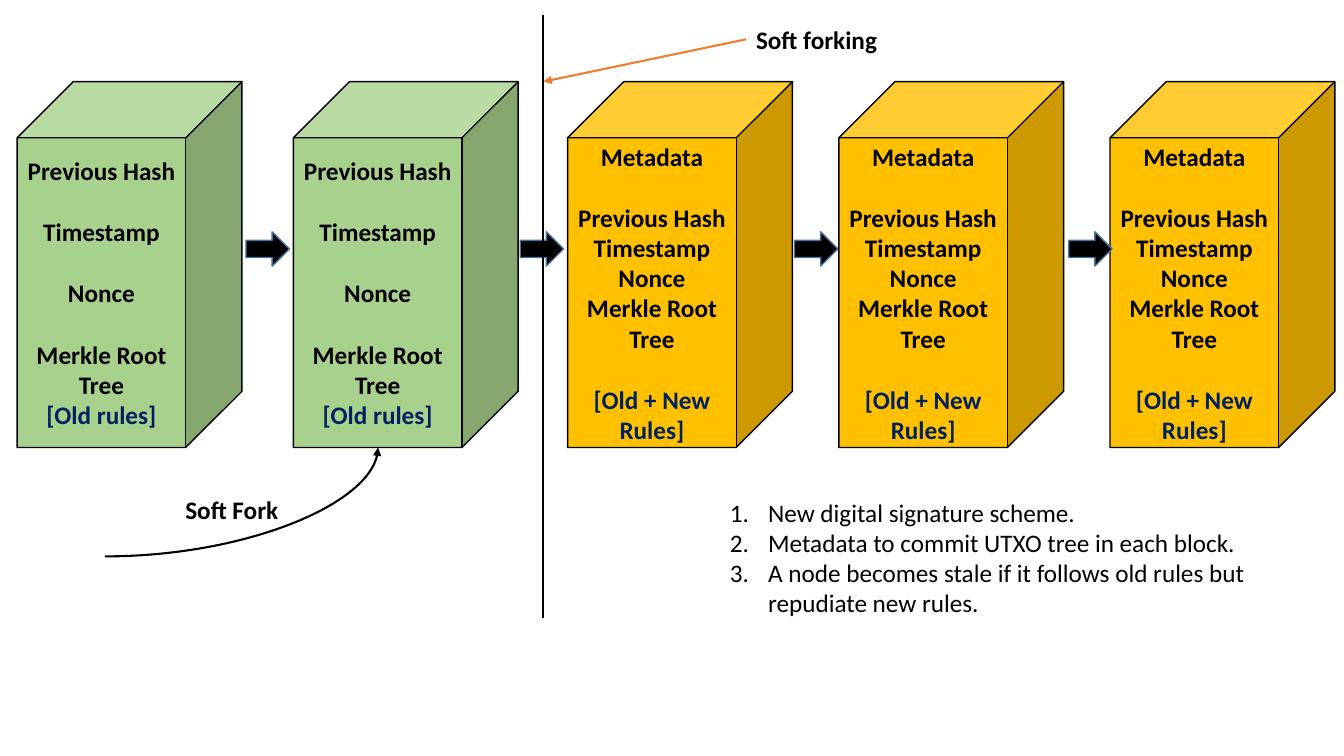
from lxml.etree import SubElement
from pptx import Presentation
from pptx.dml.color import RGBColor
from pptx.enum.shapes import MSO_CONNECTOR, MSO_SHAPE
from pptx.enum.text import MSO_ANCHOR, MSO_AUTO_SIZE, PP_ALIGN
from pptx.oxml.ns import qn
from pptx.util import Inches, Pt

CELL = Inches(0.01)
BLACK, NAVY = "000000", "002060"
colour = RGBColor.from_string
LABEL = {"name": "Calibri", "size": Pt(18), "bold": True}
PLAIN = {**LABEL, "bold": False}


def write(box, lines, font_format, para_format, frame_format):
    frame = box.text_frame
    for key, value in frame_format.items():
        setattr(frame, key, value)
    for number, (text, hue, before) in enumerate(lines):
        para = frame.add_paragraph() if number else frame.paragraphs[0]
        for key, value in {**para_format, "space_before": Pt(before)}.items():
            setattr(para, key, value)
        span = para.add_run()
        span.text = text
        for key, value in font_format.items():
            setattr(span.font, key, value)
        span.font.color.rgb = colour(hue)


def outline(item, hue, width):
    item.line.color.rgb = colour(hue)
    item.line.width = Pt(width)


deck = Presentation()
deck.slide_width, deck.slide_height = 1333 * CELL, 750 * CELL
page = deck.slides.add_slide(deck.slide_layouts[6])

old_lines = [
    ("Previous Hash", BLACK, 0),
    ("Timestamp", BLACK, 22),
    ("Nonce", BLACK, 22),
    ("Merkle Root Tree", BLACK, 22),
    ("[Old rules]", NAVY, 0),
]
new_lines = [
    ("Metadata", BLACK, 0),
    ("Previous Hash", BLACK, 22),
    ("Timestamp", BLACK, 0),
    ("Nonce", BLACK, 0),
    ("Merkle Root Tree", BLACK, 0),
    ("[Old + New Rules]", NAVY, 22),
]
chains = [(17, 274, 2, "A9D18E", old_lines), (563, 269, 3, "FFC000", new_lines)]
for start, step, count, fill, lines in chains:
    for index in range(count):
        block = page.shapes.add_shape(
            MSO_SHAPE.CUBE, (start + step * index) * CELL, 81 * CELL, 223 * CELL, 363 * CELL)
        block.shadow.inherit = False
        block.fill.solid()
        block.fill.fore_color.rgb = colour(fill)
        outline(block, BLACK, 1)
        write(block, lines, LABEL, {"alignment": PP_ALIGN.CENTER},
              {"vertical_anchor": MSO_ANCHOR.MIDDLE, "word_wrap": True})

for index in range(4):
    arrow = page.shapes.add_shape(
        MSO_SHAPE.RIGHT_ARROW, (244 + 272 * index) * CELL, 230 * CELL, 43 * CELL, 34 * CELL)
    arrow.shadow.inherit = False
    arrow.fill.solid()
    arrow.fill.fore_color.rgb = colour(BLACK)
    outline(arrow, "43739E", 1)

labels = {}
for text, left, top, width in [("Soft Fork", 174, 486, 114), ("Soft forking", 740, 19, 142)]:
    labels[text] = page.shapes.add_textbox(left * CELL, top * CELL, width * CELL, 40 * CELL)
    write(labels[text], [(text, BLACK, 0)], LABEL, {},
          {"word_wrap": False, "auto_size": MSO_AUTO_SIZE.SHAPE_TO_FIT_TEXT})

rules = [
    "New digital signature scheme.",
    "Metadata to commit UTXO tree in each block.",
    "A node becomes stale if it follows old rules but repudiate new rules.",
]
rule_box = page.shapes.add_textbox(714 * CELL, 488 * CELL, 532 * CELL, 131 * CELL)
write(rule_box, [(rule, BLACK, 0) for rule in rules], PLAIN, {},
      {"word_wrap": True, "auto_size": MSO_AUTO_SIZE.SHAPE_TO_FIT_TEXT})
for para in rule_box.text_frame.paragraphs:
    properties = para._p.get_or_add_pPr()
    properties.set("marL", str(Inches(0.38)))
    properties.set("indent", str(-Inches(0.38)))
    SubElement(properties, qn("a:buFont"), typeface="+mj-lt")
    SubElement(properties, qn("a:buAutoNum"), type="arabicPeriod")

links = [
    (MSO_CONNECTOR.STRAIGHT, (539, 15, 539, 613), BLACK, False, None),
    (MSO_CONNECTOR.CURVE, (104, 552, 375, 444), BLACK, True, None),
    (MSO_CONNECTOR.STRAIGHT, (740, 39, 539, 81), "ED7D31", True, labels["Soft forking"]),
]
for kind, ends, hue, pointed, origin in links:
    link = page.shapes.add_connector(kind, *[end * CELL for end in ends])
    if origin is not None:
        link.begin_connect(origin, 1)
    if kind == MSO_CONNECTOR.CURVE:
        link._element.spPr.find(qn("a:prstGeom")).set("prst", "curvedConnector2")
    outline(link, hue, 1.5)
    if pointed:
        SubElement(link.line._get_or_add_ln(), qn("a:tailEnd"), type="triangle")
    SubElement(link._element.spPr, qn("a:effectLst"))

deck.save("out.pptx")
